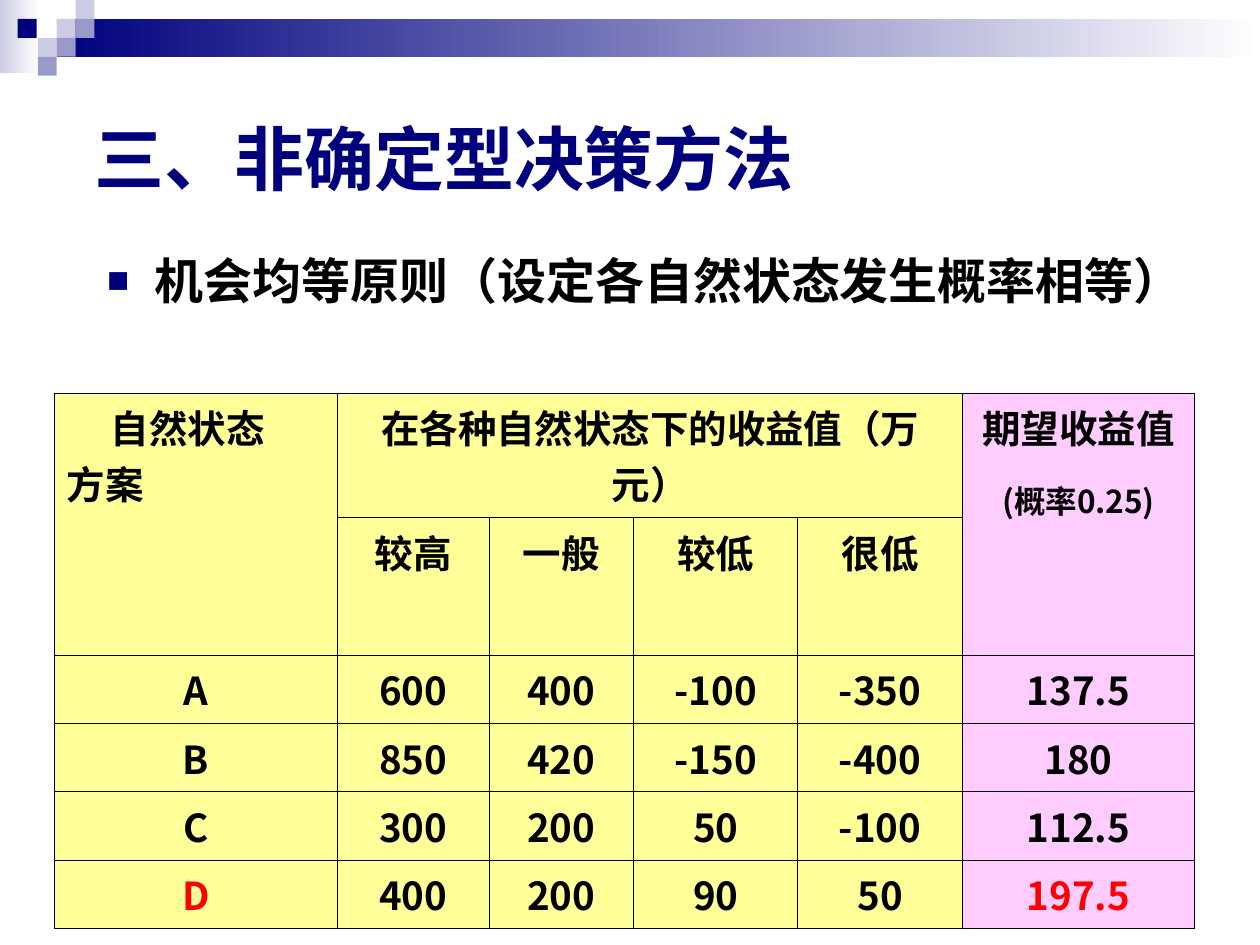
from lxml.etree import SubElement as Sub
from pptx import Presentation
from pptx.dml.color import RGBColor
from pptx.enum.shapes import MSO_SHAPE as Shape
from pptx.enum.text import MSO_ANCHOR as Anchor, MSO_AUTO_SIZE as Fit, PP_ALIGN as Align
from pptx.oxml.ns import qn
from pptx.util import Inches, Pt

NAVY, MID, PALE, WHITE = "00007D", "9999CC", "CCCCE6", "FFFFFF"
BLACK, RED, YELLOW, PINK = "000000", "FF0000", "FFFF99", "FFCCFF"
SANS = "Noto Sans CJK SC"

BANDS = [(0, 0, 0.31, 0.58, PALE), (0.45, 0.15, 9.55, 0.3, NAVY)]
TILES = [(0.45, 0.15, PALE), (0.6, 0, PALE), (0.6, 0.15, MID), (0.3, 0.3, PALE),
         (0.14, 0.15, NAVY), (0.45, 0.3, MID), (0.3, 0.45, MID)]

COLS = [2.25, 1.2, 1.15, 1.3, 1.31, 1.84]
ROWS = [0.99, 1.09] + [0.54] * 4
STATES = ["较高", "一般", "较低", "很低"]
PLANS = [
    ["A", "600", "400", "-100", "-350", "137.5"],
    ["B", "850", "420", "-150", "-400", "180"],
    ["C", "300", "200", "50", "-100", "112.5"],
    ["D", "400", "200", "90", "50", "197.5"],
]


def rgb(code):
    return RGBColor.from_string(code)


def style(para, size, color=BLACK, face=SANS, align=Align.CENTER):
    font = para.font
    font.name, font.size, font.bold = face, Pt(size), True
    font.color.rgb = rgb(color)
    para.alignment = align


def indent(para, left, first=0):
    props = para._p.get_or_add_pPr()
    props.set("marL", str(Inches(left)))
    props.set("indent", str(Inches(first)))
    return props


def add_rect(slide, left, top, width, height):
    box = slide.shapes.add_shape(
        Shape.RECTANGLE, Inches(left), Inches(top), Inches(width), Inches(height))
    box.shadow.inherit = False
    box.line.fill.background()
    return box


def add_band(slide, left, top, width, height, color):
    """Add a bar that fades to white from left to right."""
    fill = add_rect(slide, left, top, width, height).fill
    fill.gradient()
    fill.gradient_angle = 0
    for stop, code in zip(fill.gradient_stops, (color, WHITE)):
        stop.color.rgb = rgb(code)


def add_tile(slide, left, top, color):
    fill = add_rect(slide, left, top, 0.15, 0.15).fill
    fill.solid()
    fill.fore_color.rgb = rgb(color)


def set_holder(holder, text, left, top, width, height, anchor):
    holder.left, holder.top = Inches(left), Inches(top)
    holder.width, holder.height = Inches(width), Inches(height)
    frame = holder.text_frame
    frame.text = text
    frame.auto_size, frame.word_wrap = Fit.NONE, True
    frame.vertical_anchor = anchor
    return frame.paragraphs[0]


def set_title(slide):
    para = set_holder(slide.shapes.title, "三、非确定型决策方法",
                      0.65, 0.5, 9, 1.5, Anchor.MIDDLE)
    style(para, 40, NAVY, "Arial", Align.LEFT)


def set_body(slide):
    para = set_holder(slide.placeholders[1], "机会均等原则（设定各自然状态发生概率相等）",
                      0.75, 1.94, 8.76, 0.71, Anchor.TOP)
    para.space_before, para.space_after = Pt(7), Pt(10.5)
    style(para, 28, BLACK, "Arial", Align.LEFT)
    props = indent(para, 0.38, -0.38)
    color, size, char = [props.makeelement(qn(tag), {})
                         for tag in ("a:buClr", "a:buSzPct", "a:buChar")]
    Sub(color, qn("a:srgbClr"), val=NAVY)
    size.set("val", "75000")
    char.set("char", "■")
    spot = props.index(props.find(qn("a:defRPr")))
    props[spot:spot] = [color, size, char]


def paint(cell, color):
    """Give the cell thin black borders and a solid fill."""
    props = cell._tc.get_or_add_tcPr()
    for side in "LRTB":
        line = Sub(props, qn(f"a:ln{side}"), w=str(Pt(0.45)))
        Sub(Sub(line, qn("a:solidFill")), qn("a:srgbClr"), val=BLACK)
    cell.fill.solid()
    cell.fill.fore_color.rgb = rgb(color)


def write(cell, text, color=BLACK):
    cell.text = text
    for para in cell.text_frame.paragraphs:
        style(para, 22, color)
    return cell.text_frame.paragraphs


def add_grid(slide):
    frame = slide.shapes.add_table(
        len(ROWS), len(COLS), Inches(0.43), Inches(3.12),
        Inches(sum(COLS)), Inches(sum(ROWS)))
    grid = frame.table
    grid.first_row = grid.horz_banding = False
    for col, width in zip(grid.columns, COLS):
        col.width = Inches(width)
    for row, height in zip(grid.rows, ROWS):
        row.height = Inches(height)
        for col, cell in enumerate(row.cells):
            paint(cell, PINK if col == len(COLS) - 1 else YELLOW)
    fill_head(grid)
    for row, plan in enumerate(PLANS, 2):
        for col, text in enumerate(plan):
            best = plan[0] == "D" and col in (0, len(COLS) - 1)
            write(grid.cell(row, col), text, RED if best else BLACK)


def fill_head(grid):
    for start, end in [((0, 0), (1, 0)), ((0, 1), (0, 4)), ((0, 5), (1, 5))]:
        grid.cell(*start).merge(grid.cell(*end))
    corner = write(grid.cell(0, 0), "自然状态\n方案")
    for para in corner:
        para.alignment = Align.LEFT
    indent(corner[0], 0.35)
    write(grid.cell(0, 1), "在各种自然状态下的收益值（万元）")
    mean, odds = write(grid.cell(0, 5), "期望收益值\n(概率0.25)")
    mean.space_before, mean.space_after = Pt(5.5), Pt(8.2)
    odds.space_before, odds.space_after = Pt(4.5), Pt(6.8)
    odds.font.size = Pt(18)
    for col, state in enumerate(STATES, 1):
        write(grid.cell(1, col), state)


def main():
    deck = Presentation()
    deck.slide_width, deck.slide_height = Inches(10), Inches(7.5)
    slide = deck.slides.add_slide(deck.slide_layouts[1])
    for band in BANDS:
        add_band(slide, *band)
    for tile in TILES:
        add_tile(slide, *tile)
    set_title(slide)
    set_body(slide)
    add_grid(slide)
    deck.save("out.pptx")


if __name__ == "__main__":
    main()
